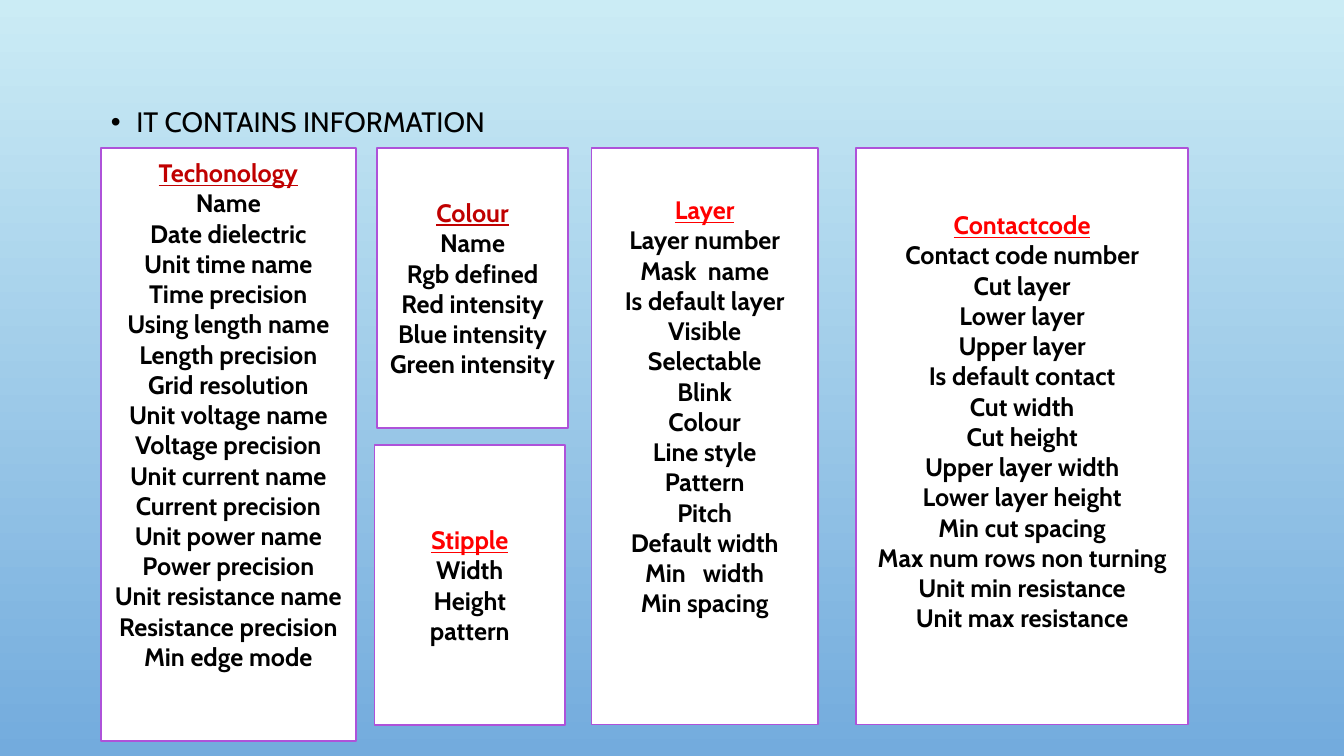
from lxml import etree
from pptx import Presentation
from pptx.dml.color import RGBColor
from pptx.enum.shapes import MSO_SHAPE as Shape
from pptx.enum.text import MSO_ANCHOR as Anchor, MSO_AUTO_SIZE as AutoSize, PP_ALIGN as Align
from pptx.oxml.ns import qn
from pptx.util import Cm, Pt

FONT = "Cabin"
BLACK, WHITE, PURPLE = "000000", "FFFFFF", "AE52D9"
DARK_RED, RED = "C00000", "FF0000"
INSET = 0.13   # vertical text inset, cm
LINE = 0.76    # height of one 18 pt line, cm
TOP = 3.73     # top edge shared by the cards, cm

# Heading, heading colour, box (left, top, width, height in cm), free lines below, entries
CARDS = [
    ("Techonology", DARK_RED, (2.54, TOP, 6.43, 14.95), 2, [
        "Name", "Date dielectric", "Unit time name", "Time precision",
        "Using length name", "Length precision", "Grid resolution",
        "Unit voltage name", "Voltage precision", "Unit current name",
        "Current precision", "Unit power name", "Power precision",
        "Unit resistance name", "Resistance precision", "Min edge mode"]),
    ("Colour", DARK_RED, (9.51, TOP, 4.8, 7.06), 0, [
        "Name", "Rgb defined", "Red intensity", "Blue intensity",
        "Green intensity"]),
    ("Stipple", RED, (9.44, 11.21, 4.8, 7.06), 0, ["Width", "Height", "pattern"]),
    ("Layer", RED, (14.91, TOP, 5.7, 14.53), 2, [
        "Layer number", "Mask  name", "Is default layer", "Visible",
        "Selectable", "Blink", "Colour", "Line style", "Pattern", "Pitch",
        "Default width", "Min   width", "Min spacing"]),
    ("Contactcode", RED, (21.58, TOP, 8.36, 14.53), 1, [
        "Contact code number", "Cut layer", "Lower layer", "Upper layer",
        "Is default contact", "Cut width", "Cut height", "Upper layer width",
        "Lower layer height", "Min cut spacing", "Max num rows non turning",
        "Unit min resistance", "Unit max resistance"]),
]


def rgb(value):
    return RGBColor.from_string(value)


def add_run(p, text, size, color, bold=False, underline=False):
    r = p.add_run()
    r.text = text
    r.font.name = FONT
    r.font.size = Pt(size)
    r.font.bold = bold
    r.font.underline = underline
    r.font.color.rgb = rgb(color)


def paint_background(slide):
    fill = slide.background.fill
    fill.gradient()
    fill.gradient_angle = 270
    for stop, color in zip(fill.gradient_stops, ("CBECF5", "73ABDD")):
        stop.color.rgb = rgb(color)


def add_bullet(p, color):
    pPr = p._p.get_or_add_pPr()
    pPr.set("marL", str(Cm(0.64)))
    pPr.set("indent", str(-Cm(0.64)))
    bu_color = etree.SubElement(pPr, qn("a:buClr"))
    etree.SubElement(bu_color, qn("a:srgbClr"), val=color)
    etree.SubElement(pPr, qn("a:buFont"), typeface="Arial")
    etree.SubElement(pPr, qn("a:buChar"), char="•")


def fill_body(sp, box, text):
    sp.left, sp.top, sp.width, sp.height = map(Cm, box)
    tf = sp.text_frame
    tf.auto_size = AutoSize.NONE
    tf.vertical_anchor = Anchor.TOP
    p = tf.paragraphs[0]
    p.line_spacing = 1.2
    p.space_before = Pt(10)
    add_bullet(p, BLACK)
    add_run(p, text, 20, BLACK)


def add_card(slide, heading, color, box, free_lines, entries):
    sp = slide.shapes.add_shape(Shape.RECTANGLE, *map(Cm, box))
    sp.shadow.inherit = False
    sp.fill.solid()
    sp.fill.fore_color.rgb = rgb(WHITE)
    sp.line.color.rgb = rgb(PURPLE)
    sp.line.width = Pt(1.25)

    tf = sp.text_frame
    tf.word_wrap = True
    tf.vertical_anchor = Anchor.MIDDLE
    tf.margin_top = Cm(INSET)
    tf.margin_bottom = Cm(INSET + free_lines * LINE)
    p = tf.paragraphs[0]
    p.alignment = Align.CENTER
    add_run(p, heading, 18, color, bold=True, underline=True)
    for entry in entries:
        p = tf.add_paragraph()
        p.alignment = Align.CENTER
        add_run(p, entry, 18, BLACK, bold=True)


def main():
    prs = Presentation()
    prs.slide_width, prs.slide_height = Cm(33.87), Cm(19.05)
    slide = prs.slides.add_slide(prs.slide_layouts[1])
    paint_background(slide)

    # The slide has body text but no title
    title = slide.shapes.title
    title._element.getparent().remove(title._element)
    fill_body(slide.placeholders[1], (2.54, 2.34, 28.78, 9.5), "IT CONTAINS INFORMATION")

    # Cards
    for card in CARDS:
        add_card(slide, *card)
    prs.save("out.pptx")


if __name__ == "__main__":
    main()
